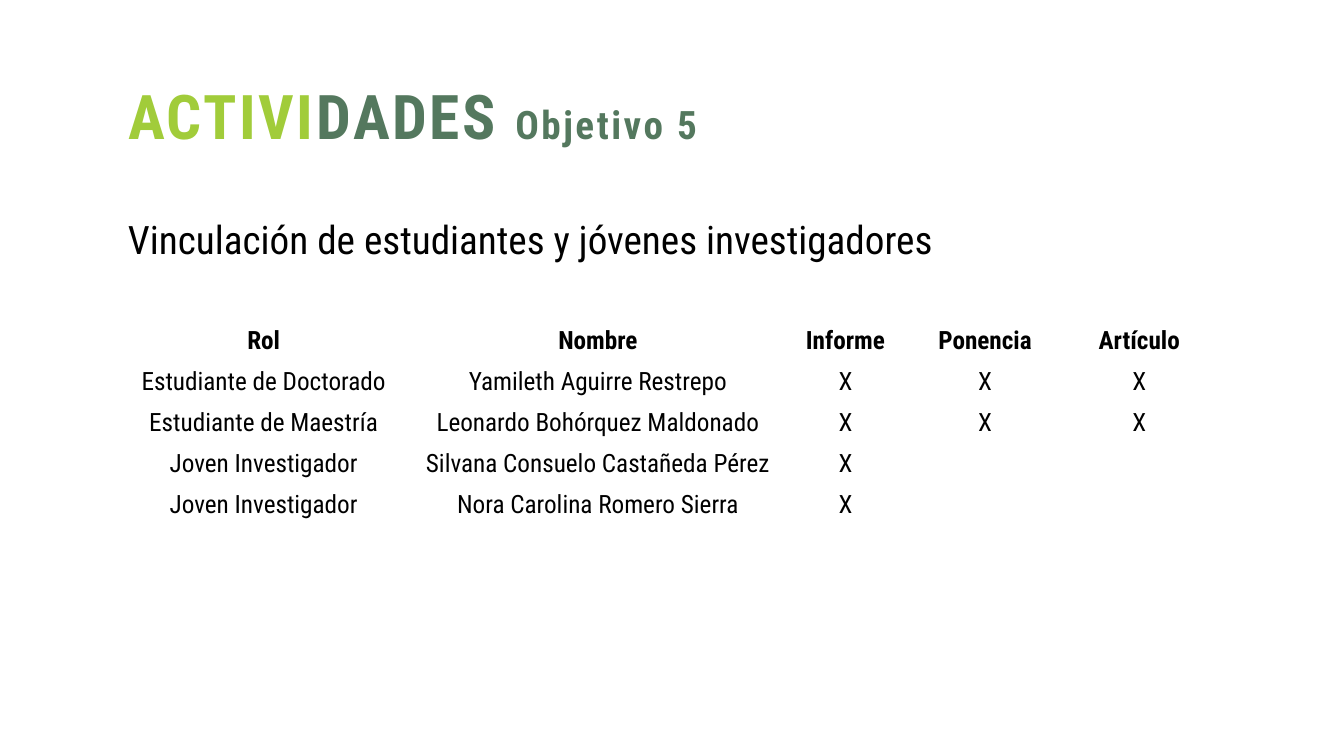
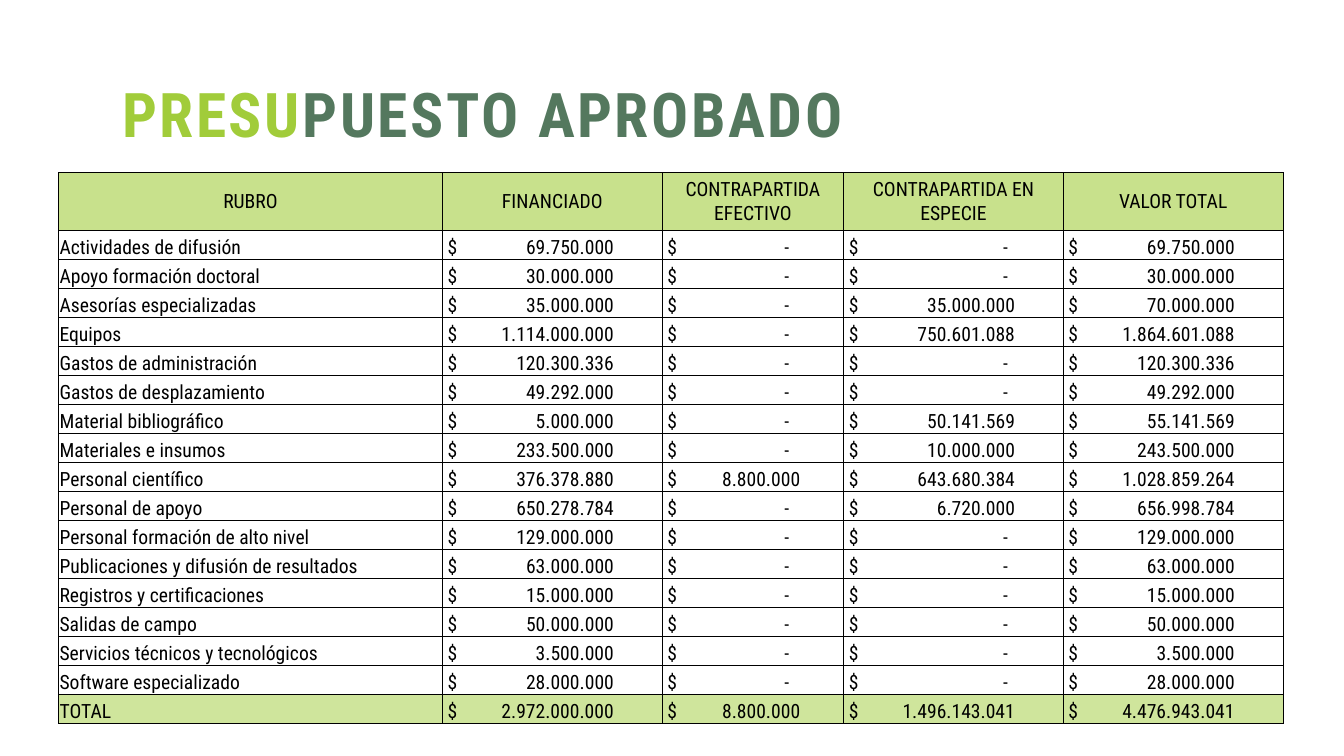
from lxml.etree import SubElement
from pptx import Presentation
from pptx.dml.color import RGBColor
from pptx.enum.text import MSO_ANCHOR, MSO_AUTO_SIZE, PP_ALIGN
from pptx.oxml.ns import qn
from pptx.util import Inches, Pt

# Shared look
FONT = "Roboto Condensed"
LIME = RGBColor(0xA1, 0xCC, 0x3A)
GREEN = RGBColor(0x54, 0x78, 0x5E)
BLACK = RGBColor(0, 0, 0)
WHITE = RGBColor(0xFF, 0xFF, 0xFF)
WIDTH, HEIGHT = Inches(13.33), Inches(7.5)
TITLE_ONLY = 5
TITLE_SIZE, LEAD_SIZE, ROLE_SIZE, BUDGET_SIZE = 44, 28, 18, 14
TITLE_TRACKING = "180"

# Students and young researchers: role, name, number of products
ROLE_HEADINGS = ["Rol", "Nombre", "Informe", "Ponencia", "Artículo"]
ROLE_COLUMNS = [21.68, 28.06, 8.78, 12, 10.95]
ROLE_ROW = 5.41
PEOPLE = [
    ("Estudiante de Doctorado", "Yamileth Aguirre Restrepo", 3),
    ("Estudiante de Maestría", "Leonardo Bohórquez Maldonado", 3),
    ("Joven Investigador", "Silvana Consuelo Castañeda Pérez", 1),
    ("Joven Investigador", "Nora Carolina Romero Sierra", 1),
]

# Budget: item, financed, counterpart in cash, counterpart in kind
BUDGET_HEADINGS = ["RUBRO", "FINANCIADO", "CONTRAPARTIDA EFECTIVO",
                   "CONTRAPARTIDA EN ESPECIE", "VALOR TOTAL"]
BUDGET_COLUMNS = [28.58, 16.35, 13.5, 16.35, 16.35]
BUDGET_ROW = 3.84
AMOUNT_STOPS = [12.38, 9.9, 12.38, 12.38]
DASH_STOPS = [11.85, 9.08, 11.85, 11.85]
BUDGET = [
    ("Actividades de difusión", 69750000, 0, 0),
    ("Apoyo formación doctoral", 30000000, 0, 0),
    ("Asesorías especializadas", 35000000, 0, 35000000),
    ("Equipos", 1114000000, 0, 750601088),
    ("Gastos de administración", 120300336, 0, 0),
    ("Gastos de desplazamiento", 49292000, 0, 0),
    ("Material bibliográfico", 5000000, 0, 50141569),
    ("Materiales e insumos", 233500000, 0, 10000000),
    ("Personal científico", 376378880, 8800000, 643680384),
    ("Personal de apoyo", 650278784, 0, 6720000),
    ("Personal formación de alto nivel", 129000000, 0, 0),
    ("Publicaciones y difusión de resultados", 63000000, 0, 0),
    ("Registros y certificaciones", 15000000, 0, 0),
    ("Salidas de campo", 50000000, 0, 0),
    ("Servicios técnicos y tecnológicos", 3500000, 0, 0),
    ("Software especializado", 28000000, 0, 0),
]


def across(percent):
    """Share of the slide width."""
    return int(WIDTH * percent / 100)


def down(percent):
    """Share of the slide height."""
    return int(HEIGHT * percent / 100)


def style_run(run, size, color=BLACK, bold=False):
    run.font.name = FONT
    run.font.size = Pt(size)
    run.font.color.rgb = color
    run.font.bold = bold


def add_title_slide(presentation, left, top, height, parts):
    """Add a slide whose title is made of (text, colour, size) parts."""
    slide = presentation.slides.add_slide(
        presentation.slide_layouts[TITLE_ONLY])
    title = slide.shapes.title
    title.left, title.top = across(left), down(top)
    title.width, title.height = across(86.27), down(height)
    frame = title.text_frame
    frame.auto_size = MSO_AUTO_SIZE.NONE
    frame.vertical_anchor = MSO_ANCHOR.MIDDLE
    paragraph = frame.paragraphs[0]
    paragraph.alignment = PP_ALIGN.LEFT
    paragraph.line_spacing = 0.9
    for text, color, size in parts:
        run = paragraph.add_run()
        run.text = text
        style_run(run, size, color, bold=True)
        run.font._element.set("spc", TITLE_TRACKING)
    return slide


def add_lead(slide, text):
    box = slide.shapes.add_textbox(
        across(8.78), down(27.87), across(64.14), down(7.6))
    frame = box.text_frame
    frame.word_wrap = True
    frame.text = text
    paragraph = frame.paragraphs[0]
    paragraph.alignment = PP_ALIGN.JUSTIFY
    style_run(paragraph.runs[0], LEAD_SIZE)


def add_grid(slide, left, top, columns, rows):
    """Add a plain table; columns and rows are slide percentages."""
    frame = slide.shapes.add_table(
        len(rows), len(columns), across(left), down(top),
        across(sum(columns)), down(sum(rows)))
    table = frame.table
    table.first_row = table.horz_banding = False
    for column, share in zip(table.columns, columns):
        column.width = across(share)
    for row, share in zip(table.rows, rows):
        row.height = down(share)
    return table


def set_borders(cell, color, width, bottom=None):
    properties = cell._tc.get_or_add_tcPr()
    for side in "LRTB":
        points = bottom if side == "B" and bottom else width
        line = SubElement(properties, qn(f"a:ln{side}"), w=str(Pt(points)))
        fill = SubElement(line, qn("a:solidFill"))
        SubElement(fill, qn("a:srgbClr"), val=str(color))


def set_fill(cell, opacity):
    """Fill with lime at an opacity in percent, or leave clear."""
    if not opacity:
        cell.fill.background()
        return
    cell.fill.solid()
    cell.fill.fore_color.rgb = LIME
    color = cell._tc.tcPr.find(f"{qn('a:solidFill')}/{qn('a:srgbClr')}")
    SubElement(color, qn("a:alpha"), val=str(opacity * 1000))


def write_cell(cell, text, size, alignment, bold=False):
    cell.text_frame.text = text
    paragraph = cell.text_frame.paragraphs[0]
    paragraph.alignment = alignment
    for run in paragraph.runs:
        style_run(run, size, bold=bold)
    return paragraph


def write_amount(cell, amount, column):
    """Currency sign at the left, figure set against a right tab."""
    figure = f"{amount:,}".replace(",", ".") if amount else "-"
    paragraph = write_cell(cell, f"$\t{figure}", BUDGET_SIZE, PP_ALIGN.LEFT)
    cell.margin_left = across(0.38)
    stop = (AMOUNT_STOPS if amount else DASH_STOPS)[column]
    tabs = SubElement(paragraph._p.get_or_add_pPr(), qn("a:tabLst"))
    SubElement(tabs, qn("a:tab"), pos=str(across(stop)), algn="r")


def add_role_table(slide):
    marks = [(role, name) + ("X",) * count + ("",) * (3 - count)
             for role, name, count in PEOPLE]
    rows = [ROLE_HEADINGS] + marks
    table = add_grid(slide, 8.78, 42.53, ROLE_COLUMNS, [ROLE_ROW] * len(rows))
    for row_index, texts in enumerate(rows):
        heading = row_index == 0
        for column_index, text in enumerate(texts):
            cell = table.cell(row_index, column_index)
            write_cell(cell, text, ROLE_SIZE, PP_ALIGN.CENTER, heading)
            set_borders(cell, WHITE, 1, bottom=3 if heading else None)
            set_fill(cell, None)


def add_budget_table(slide):
    # Totals across and down
    sums = tuple(sum(values) for values in list(zip(*BUDGET))[1:])
    lines = [(item, *values, sum(values))
             for item, *values in BUDGET + [("TOTAL", *sums)]]
    rows = [BUDGET_HEADINGS] + lines
    heights = [2 * BUDGET_ROW] + [BUDGET_ROW] * len(lines)
    table = add_grid(slide, 4.35, 22.8, BUDGET_COLUMNS, heights)
    opacities = {0: 58, len(lines): 50}
    for row_index, values in enumerate(rows):
        heading = row_index == 0
        for column_index, value in enumerate(values):
            cell = table.cell(row_index, column_index)
            cell.margin_left = cell.margin_right = across(0.08)
            cell.margin_top, cell.margin_bottom = down(0.13), 0
            cell.vertical_anchor = (
                MSO_ANCHOR.MIDDLE if heading else MSO_ANCHOR.BOTTOM)
            if heading or column_index == 0:
                alignment = PP_ALIGN.CENTER if heading else PP_ALIGN.LEFT
                write_cell(cell, value, BUDGET_SIZE, alignment)
            else:
                write_amount(cell, value, column_index - 1)
            set_borders(cell, BLACK, 0.5)
            set_fill(cell, opacities.get(row_index))


def main():
    presentation = Presentation()
    presentation.slide_width, presentation.slide_height = WIDTH, HEIGHT

    # Activities
    slide = add_title_slide(presentation, 8.78, 10.8, 10.13, [
        ("ACTIVI", LIME, TITLE_SIZE),
        ("DADES ", GREEN, TITLE_SIZE),
        ("Objetivo 5", GREEN, LEAD_SIZE),
    ])
    add_lead(slide, "Vinculación de estudiantes y jóvenes investigadores")
    add_role_table(slide)

    # Approved budget
    slide = add_title_slide(presentation, 8.33, 5.87, 19.33, [
        ("PRESU", LIME, TITLE_SIZE),
        ("PUESTO APROBADO", GREEN, TITLE_SIZE),
    ])
    add_budget_table(slide)

    presentation.save("out.pptx")


if __name__ == "__main__":
    main()
